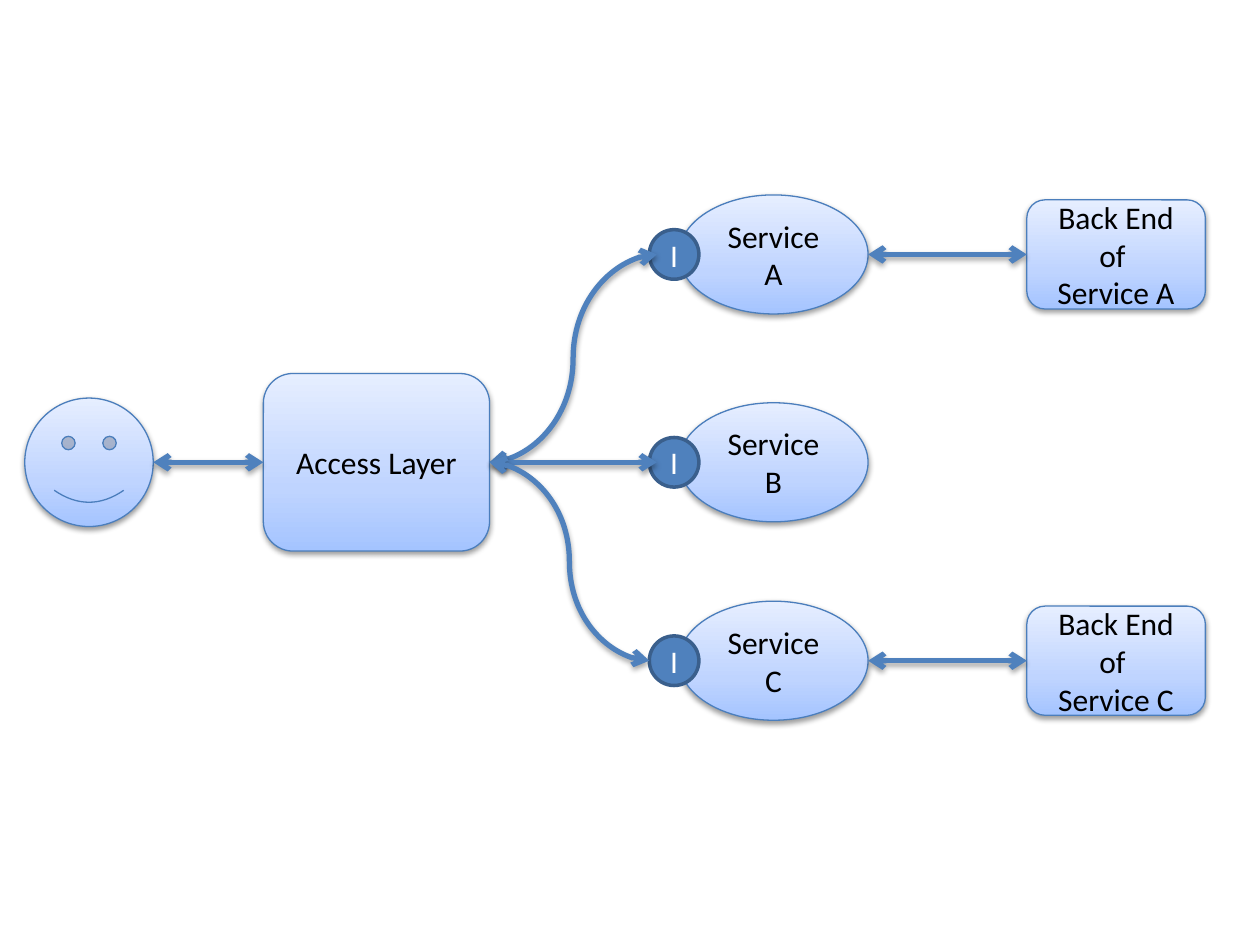
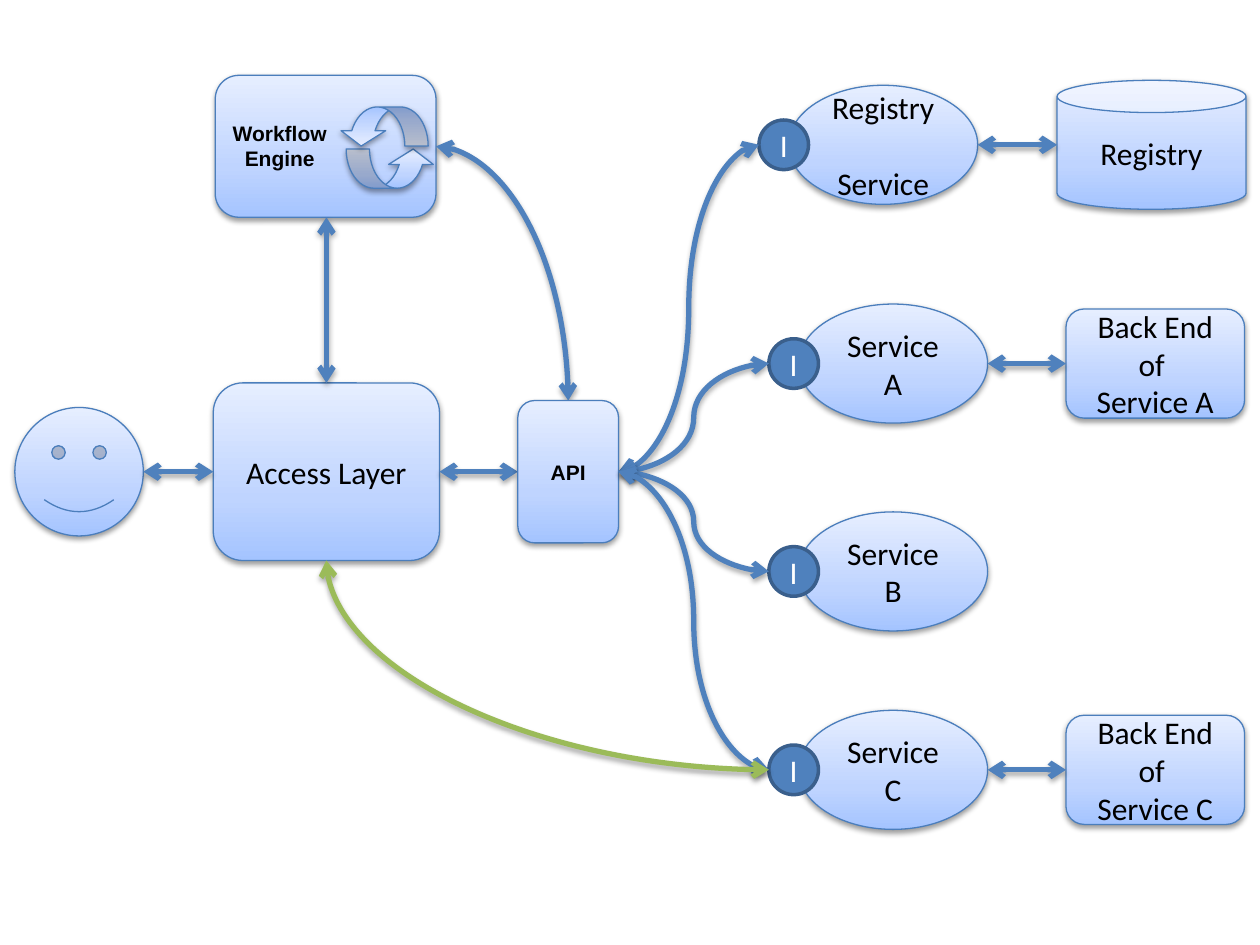
from copy import deepcopy
from pptx import Presentation
from pptx.dml.color import RGBColor
from pptx.enum.shapes import MSO_CONNECTOR, MSO_SHAPE
from pptx.enum.text import MSO_ANCHOR, PP_ALIGN
from pptx.oxml import parse_xml
from pptx.oxml.ns import nsdecls, qn
from pptx.util import Cm, Pt

COLORS = {
    "deep": "A4C4FF", "mid": "BFD4FF", "pale": "E6EEFF",
    "edge": "4B7EBC", "blue": "4F81BD", "rim": "3A5F8C",
    "green": "9BBB59", "black": "000000", "white": "FFFFFF",
}
STOPS = [(0, "deep"), (0.35, "mid"), (1, "pale")]
BODY = {"name": "Calibri", "size": Pt(18), "bold": False}
LABEL = {"name": "Arial", "size": Pt(12), "bold": True}
CENTER = {"alignment": PP_ALIGN.CENTER}
MIDDLE = {"word_wrap": True, "vertical_anchor": MSO_ANCHOR.MIDDLE}

OVAL_W, OVAL_H = 3.81, 2.4
KNOB, OVERHANG = 1, 0.6
BACK_W, BACK_H = 3.6, 2.2
USER = 2.59
ACCESS_W, ACCESS_H = 4.56, 3.58
ROWS = {"A": 5.13, "B": 9.32, "C": 13.32}


def rgb(name):
    return RGBColor.from_string(COLORS[name])


def put(item, values):
    for key, value in values.items():
        setattr(item, key, value)


def write(frame, lines, font, color="black", gap=0):
    for i, line in enumerate(lines):
        para = frame.add_paragraph() if i else frame.paragraphs[0]
        put(para, CENTER)
        if i and gap:
            para.space_before = Pt(gap)
        run = para.add_run()
        run.text = line
        put(run.font, font)
        run.font.color.rgb = rgb(color)


def stroke(item, color, width):
    item.line.color.rgb = rgb(color)
    item.line.width = Pt(width)


def shade(item, drop, alpha):
    item._element.spPr.append(parse_xml(
        f'<a:effectLst {nsdecls("a")}><a:outerShdw blurRad="40000" '
        f'dist="{drop}" dir="5400000" rotWithShape="0">'
        f'<a:srgbClr val="{COLORS["black"]}"><a:alpha val="{alpha}"/>'
        '</a:srgbClr></a:outerShdw></a:effectLst>'))


def blend(shape):
    shape.fill.gradient()
    shape.fill.gradient_angle = 90
    stops = shape._element.spPr.find(".//" + qn("a:gsLst"))
    stops.append(deepcopy(stops[0]))
    for stop, (place, color) in zip(shape.fill.gradient_stops, STOPS):
        put(stop, {"position": place})
        stop.color.rgb = rgb(color)


def form(shapes, kind, left, mid, width, height, lines=(), font=BODY, gap=0):
    shape = shapes.add_shape(kind, Cm(left), Cm(mid - height / 2),
                             Cm(width), Cm(height))
    blend(shape)
    stroke(shape, "edge", 0.75)
    shade(shape, 20000, 38000)
    put(shape.text_frame, MIDDLE)
    write(shape.text_frame, lines, font, gap=gap)
    return shape


def service(shapes, left, mid, lines, gap=0):
    parts = shapes.add_group_shape().shapes
    form(parts, MSO_SHAPE.OVAL, left, mid, OVAL_W, OVAL_H, lines, gap=gap)
    knob = parts.add_shape(MSO_SHAPE.OVAL, Cm(left - OVERHANG),
                           Cm(mid - KNOB / 2), Cm(KNOB), Cm(KNOB))
    knob.shadow.inherit = False
    knob.fill.solid()
    knob.fill.fore_color.rgb = rgb("blue")
    stroke(knob, "rim", 2)
    put(knob.text_frame, MIDDLE)
    write(knob.text_frame, ["I"], BODY, "white")


def link(shapes, start, end, color="blue", kind=MSO_CONNECTOR.CURVE,
         bend=False):
    line = shapes.add_connector(kind, *map(Cm, start + end))
    if bend:
        line._element.spPr.find(qn("a:prstGeom")).set(
            "prst", "curvedConnector2")
    stroke(line, color, 3)
    for tip in ("headEnd", "tailEnd"):
        line.line._get_or_add_ln().append(
            parse_xml(f'<a:{tip} {nsdecls("a")} type="arrow"/>'))
    shade(line, 23000, 35000)


def access(shapes, user, left, mid):
    form(shapes, MSO_SHAPE.ROUNDED_RECTANGLE, left, mid,
         ACCESS_W, ACCESS_H, ["Access Layer"])
    form(shapes, MSO_SHAPE.SMILEY_FACE, user, mid, USER, USER)
    link(shapes, (user + USER, mid), (left, mid))


def stack(shapes, left, back, shift=0):
    for name, row in ROWS.items():
        service(shapes, left, row + shift, [f"Service {name}"])
    for name in "AC":
        mid = ROWS[name] + shift
        form(shapes, MSO_SHAPE.ROUNDED_RECTANGLE, back, mid,
             BACK_W, BACK_H, ["Back End of ", f"Service {name}"])
        link(shapes, (left + OVAL_W, mid), (back, mid))


def engine(shapes, left, mid):
    parts = shapes.add_group_shape().shapes
    form(parts, MSO_SHAPE.ROUNDED_RECTANGLE, left, mid, 4.45, 2.86)
    for x, y, turn in ((6.98, 3.4, 0), (6.83, 2.55, 180)):
        arrow = form(parts, MSO_SHAPE.CURVED_UP_ARROW, x, y, 1.8, 0.79)
        arrow.rotation = turn
        for i, value in enumerate((0.594, 1.152, 0.393)):
            arrow.adjustments[i] = value
    box = parts.add_textbox(Cm(4.42), Cm(2.31), Cm(2.44), Cm(1.27))
    box.text_frame.word_wrap = False
    write(box.text_frame, ["Workflow", "Engine"], LABEL)


def direct(shapes):
    left, mid, oval = 5.31, ROWS["B"], 13.69
    access(shapes, 0.5, left, mid)
    stack(shapes, oval, 20.7)
    for name, reach in (("A", 0.15), ("B", 0.15), ("C", 0)):
        link(shapes, (left + ACCESS_W, mid),
             (oval - OVERHANG + reach, ROWS[name]))


def routed(shapes):
    left, mid, shift, oval = 4.3, 9.51, 2.2, 16.1
    api, width, height = 10.44, 2.03, 2.87
    store, top = 15.9, 2.92
    core = left + ACCESS_W / 2
    hub = (api + width, mid)
    port = oval - OVERHANG

    access(shapes, 0.3, left, mid)
    stack(shapes, oval, 21.49, shift)
    link(shapes, (left + ACCESS_W, mid), (api, mid))

    service(shapes, store, top, ["Registry", "Service"], gap=22)
    form(shapes, MSO_SHAPE.CAN, 21.31, top, 3.81, 2.6, ["Registry"])
    link(shapes, hub, (store - OVERHANG, top))
    link(shapes, (store + OVAL_W, top), (21.31, top))

    engine(shapes, 4.34, 2.95)
    link(shapes, (core, mid - ACCESS_H / 2), (core, 4.38),
         kind=MSO_CONNECTOR.STRAIGHT)
    link(shapes, (8.79, 2.95), (api + width / 2, mid - height / 2),
         bend=True)
    form(shapes, MSO_SHAPE.ROUNDED_RECTANGLE, api, mid, width, height,
         ["API"], LABEL)
    for row in ROWS.values():
        link(shapes, hub, (port, row + shift))
    link(shapes, (port, ROWS["C"] + shift), (core, mid + ACCESS_H / 2),
         "green", bend=True)


def main():
    deck = Presentation()
    put(deck, {"slide_width": Cm(25.4), "slide_height": Cm(19.05)})
    for draw in (direct, routed):
        draw(deck.slides.add_slide(deck.slide_layouts[6]).shapes)
    deck.save("out.pptx")


main()
